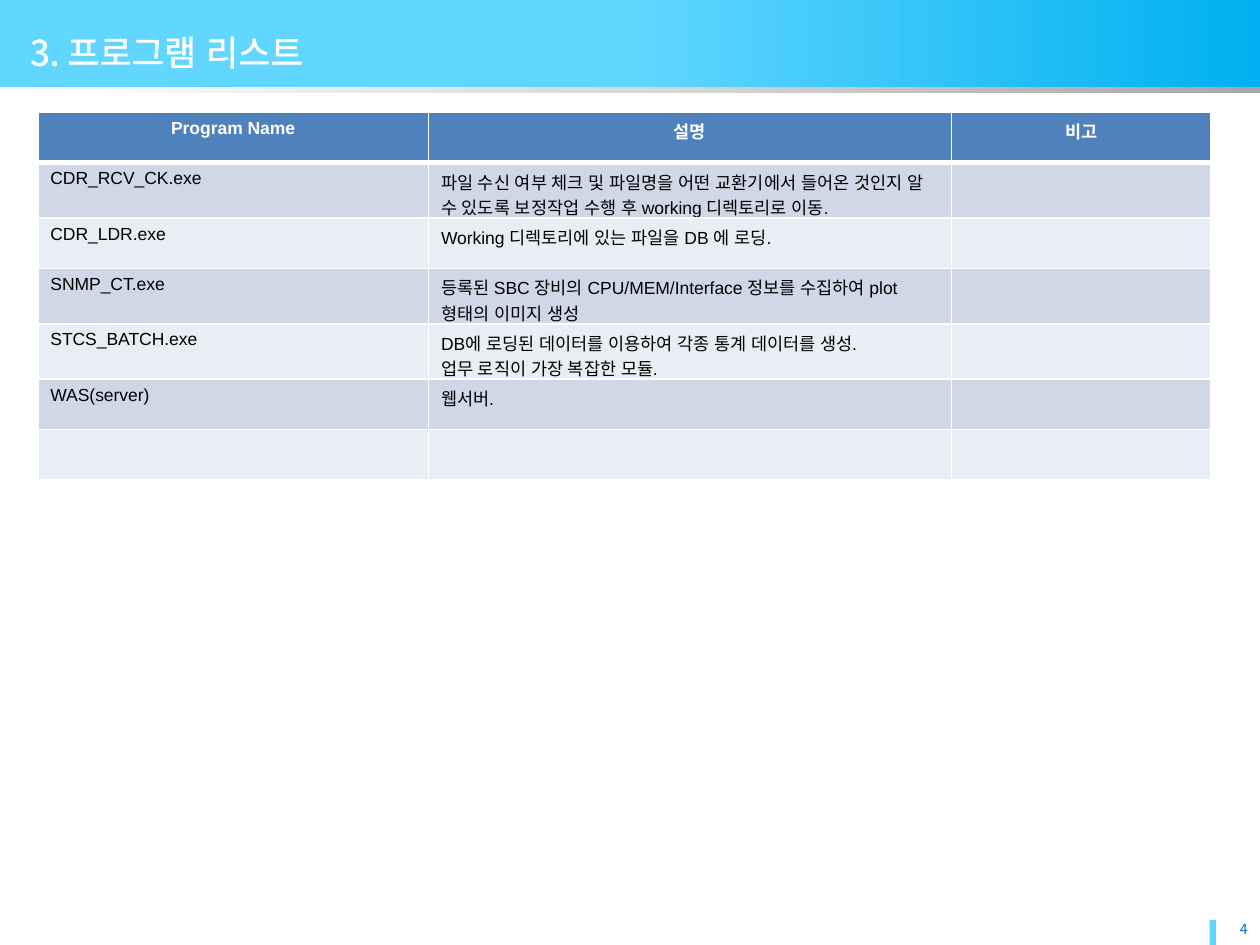
from copy import deepcopy

from lxml.etree import SubElement
from pptx import Presentation
from pptx.dml.color import RGBColor
from pptx.enum.lang import MSO_LANGUAGE_ID as Lang
from pptx.enum.shapes import MSO_SHAPE as Shape
from pptx.enum.text import MSO_ANCHOR as Anchor, MSO_AUTO_SIZE as Fit, PP_ALIGN as Align
from pptx.oxml.ns import qn
from pptx.util import Inches, Pt

WIDE, HIGH = Inches(10), Inches(7.5)
COLS, ROWS = 100, 75
KOREAN = "Noto Sans CJK KR"
WHITE, SKY = "FFFFFF", "61D6FF"
HEAD, BANDS = "4F81BD", ("D0D8E8", "E9EDF4")
LOW, TALL = 4, 4.4  # table rows with one and with two lines

PROGRAMS = [
    (LOW, "Program Name", "설명", "비고"),
    (TALL, "CDR_RCV_CK.exe",
     "파일 수신 여부 체크 및 파일명을 어떤 교환기에서 들어온 것인지 알 수 있도록 "
     "보정작업 수행 후 working 디렉토리로 이동.", ""),
    (LOW, "CDR_LDR.exe", "Working 디렉토리에 있는 파일을 DB 에 로딩.", ""),
    (TALL, "SNMP_CT.exe",
     "등록된 SBC 장비의 CPU/MEM/Interface 정보를 수집하여 plot 형태의 이미지 생성", ""),
    (TALL, "STCS_BATCH.exe",
     "DB에 로딩된 데이터를 이용하여 각종 통계 데이터를 생성.\n업무 로직이 가장 복잡한 모듈.", ""),
    (LOW, "WAS(server)", "웹서버.", ""),
    (LOW, "", "", ""),
]


def color(text):
    return RGBColor.from_string(text)


def outline(parent, tag, width, hue):
    """Add a solid line element to parent; width is in points."""
    line = SubElement(parent, qn(tag), w=str(Pt(width)))
    fill = SubElement(line, qn("a:solidFill"))
    SubElement(fill, qn("a:srgbClr"), val=hue)
    return line


def write(frame, text, size=10, font=KOREAN, hue="000000", bold=False,
          align=Align.LEFT, edge=None):
    """Fill a text frame, one paragraph a line."""
    frame.text = text
    for para in frame.paragraphs:
        para.alignment = align
        para.font.size = Pt(size)
        for run in para.runs:
            face = run.font
            face.size, face.name, face.bold = Pt(size), font, bold
            face.language_id = Lang.KOREAN
            face.color.rgb = color(hue)
            props = run._r.get_or_add_rPr()
            props.set("kern", "0")
            SubElement(props, qn("a:ea"), typeface=KOREAN)
            if edge:
                props.insert(0, outline(props, "a:ln", 1, edge))


class Page:
    def __init__(self, deck):
        self.slide = deck.slides.add_slide(deck.slide_layouts[5])
        self.shapes = self.slide.shapes

    def area(self, left, top, width, height):
        """Turn grid columns and rows into slide lengths."""
        return (int(left * WIDE / COLS), int(top * HIGH / ROWS),
                int(width * WIDE / COLS), int(height * HIGH / ROWS))

    def bar(self, *spot, hue=None, stops=()):
        """Draw a flat bar, or a left-to-right blend of (percent, hue) stops."""
        bar = self.shapes.add_shape(Shape.RECTANGLE, *self.area(*spot))
        bar.shadow.inherit = False
        bar.line.fill.background()
        if hue:
            bar.fill.solid()
            bar.fill.fore_color.rgb = color(hue)
            return
        bar.fill.gradient()
        bar.fill.gradient_angle = 0
        blend = next(bar.element.iter(qn("a:gsLst")))
        model = blend[0]
        for old in list(blend):
            blend.remove(old)
        for share, tone in stops:
            stop = deepcopy(model)
            stop.set("pos", str(share * 1000))
            for child in list(stop):
                stop.remove(child)
            SubElement(stop, qn("a:srgbClr"), val=tone)
            blend.append(stop)

    def title(self, text, *spot, **style):
        title = self.shapes.title
        title.left, title.top, title.width, title.height = self.area(*spot)
        title.element.getparent().append(title.element)  # in front of the band
        self.fit(title.text_frame, Anchor.MIDDLE)
        write(title.text_frame, text, **style)

    def label(self, text, *spot, **style):
        frame = self.shapes.add_textbox(*self.area(*spot)).text_frame
        self.fit(frame, Anchor.TOP)
        write(frame, text, **style)

    def fit(self, frame, anchor):
        frame.word_wrap = False
        frame.auto_size = Fit.SHAPE_TO_FIT_TEXT
        frame.vertical_anchor = anchor

    def table(self, data, widths, *spot):
        grid = self.shapes.add_table(len(data), len(widths), *self.area(*spot)).table
        for col, width in zip(grid.columns, widths):
            col.width = int(width * WIDE / COLS)
        for y, (height, *line) in enumerate(data):
            grid.rows[y].height = int(height * HIGH / ROWS)
            for x, text in enumerate(line):
                self.cell(grid.cell(y, x), text, y)

    def cell(self, cell, text, row):
        head = row == 0
        cell.margin_bottom = 0
        if not head:
            cell.margin_right = Inches(0.17)
        cell.fill.solid()
        cell.fill.fore_color.rgb = color(HEAD if head else BANDS[(row - 1) % 2])
        write(cell.text_frame, text, font="Arial", bold=head,
              hue=WHITE if head else "000000",
              align=Align.CENTER if head else Align.LEFT)
        props = cell._tc.get_or_add_tcPr()
        for at, side in enumerate("LRTB"):
            thick = (head and side == "B") or (row == 1 and side == "T")
            props.insert(at, outline(props, f"a:ln{side}", 3 if thick else 1, WHITE))


deck = Presentation()
deck.slide_width, deck.slide_height = WIDE, HIGH
page = Page(deck)

page.bar(0, 0, 100, 7, stops=[(0, SKY), (50, SKY), (100, "00B0F0")])
page.label("4", 96.6, 72.6, 3.4, 2.4, size=8, hue="0070C0", align=Align.RIGHT)
page.bar(96, 73, 0.5, 2, hue=SKY)
page.bar(0, 6.9, 100, 0.5, stops=[(0, WHITE), (50, "D9D9D9"), (100, "A6A6A6")])
page.title("3. 프로그램 리스트", 1.4, 1.9, 24.5, 4.4, size=20, hue=WHITE, edge=WHITE)
page.table(PROGRAMS, (31, 41.5, 20.6), 3, 8.9, 93.1, 29.2)

deck.save("out.pptx")
